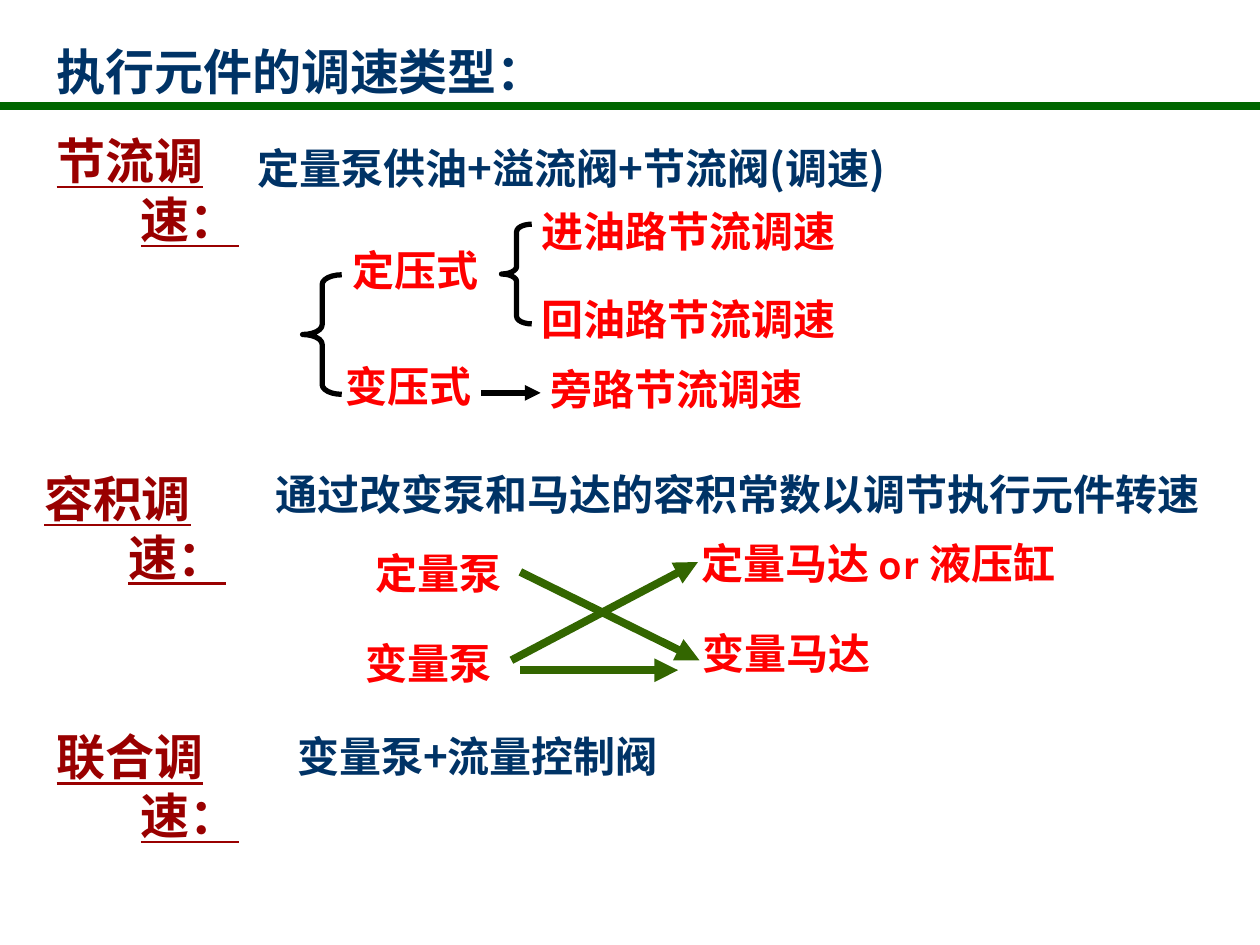
from lxml.etree import SubElement
from pptx import Presentation
from pptx.dml.color import RGBColor
from pptx.enum.shapes import MSO_CONNECTOR, MSO_SHAPE
from pptx.enum.text import MSO_AUTO_SIZE
from pptx.oxml.ns import qn
from pptx.util import Cm, Pt

NAVY = RGBColor(0x00, 0x33, 0x66)
MAROON = RGBColor(0x99, 0x00, 0x00)
RED = RGBColor(0xFF, 0x00, 0x00)
GREEN = RGBColor(0x00, 0x66, 0x00)
OLIVE = RGBColor(0x33, 0x66, 0x00)
BLACK = RGBColor(0x00, 0x00, 0x00)
CHINESE_FONT = "Noto Sans CJK SC"
LATIN_FONT = "Karla"


class SpeedControlSlide:
    """Draws the text, braces and lines of the speed control overview."""

    def __init__(self, page):
        self.page = page

    def text(self, words, left, top, width, height, color, size, font):
        box = self.page.shapes.add_textbox(Cm(left), Cm(top), Cm(width), Cm(height))
        para = box.text_frame.paragraphs[0]
        para.text = words
        para.font.name = font
        para.font.size = Pt(size)
        para.font.bold = True
        para.font.color.rgb = color
        defaults = para._p.pPr.find(qn("a:defRPr"))
        SubElement(defaults, qn("a:ea")).set("typeface", CHINESE_FONT)
        return box.text_frame

    def heading(self, words, left, top, width, color, font, underline=False):
        frame = self.text(words, left, top, width, 1.4, color, 28, font)
        frame.word_wrap = True
        para = frame.paragraphs[0]
        para.font.underline = underline
        para._p.pPr.set("marL", str(Cm(1.7)))
        para._p.pPr.set("indent", str(-Cm(1.7)))
        para._p.pPr.set("hangingPunct", "0")

    def phrase(self, words, left, top, width, color=RED, font=LATIN_FONT):
        frame = self.text(words, left, top, width, 1.27, color, 24, font)
        frame.word_wrap = False
        frame.auto_size = MSO_AUTO_SIZE.SHAPE_TO_FIT_TEXT

    def line(self, start, end, color, weight, arrow=True):
        points = [Cm(value) for value in (*start, *end)]
        line = self.page.shapes.add_connector(MSO_CONNECTOR.STRAIGHT, *points)
        line.line.color.rgb = color
        line.line.width = Pt(weight)
        if arrow:
            SubElement(line.line._get_or_add_ln(), qn("a:tailEnd")).set("type", "triangle")
        SubElement(line._element.spPr, qn("a:effectLst"))

    def brace(self, left, top, width, height):
        brace = self.page.shapes.add_shape(
            MSO_SHAPE.LEFT_BRACE, Cm(left), Cm(top), Cm(width), Cm(height))
        brace.shadow.inherit = False
        brace.fill.background()
        brace.line.color.rgb = BLACK
        brace.line.width = Pt(3)
        brace.adjustments[0] = 0.25


def main():
    deck = Presentation()
    deck.slide_width, deck.slide_height = Cm(25.4), Cm(19.05)
    slide = SpeedControlSlide(deck.slides.add_slide(deck.slide_layouts[6]))

    slide.heading("执行元件的调速类型：", 0.89, 0.71, 11.13, NAVY, CHINESE_FONT)
    for words, left, top in (
        ("节流调速：", 0.89, 2.51),
        ("容积调速：", 0.64, 9.32),
        ("联合调速：", 0.89, 14.53),
    ):
        slide.heading(words, left, top, 4.4, MAROON, LATIN_FONT, underline=True)

    for start, end in (
        ((10.49, 11.53), (14.1, 13.31)),
        ((10.49, 13.51), (13.67, 13.51)),
        ((10.31, 13.31), (14.07, 11.33)),
    ):
        slide.line(start, end, OLIVE, 4.5)
    slide.line((0, 2.13), (25.4, 2.13), GREEN, 4.5, arrow=False)
    slide.line((9.7, 7.92), (10.9, 7.92), BLACK, 3)
    slide.brace(6.1, 5.54, 0.79, 2.41)
    slide.brace(10.11, 4.52, 0.61, 2.01)

    for words, left, top, width in (
        ("定量泵供油+溢流阀+节流阀(调速)", 4.95, 2.74, 14.58),
        ("通过改变泵和马达的容积常数以调节执行元件转速", 5.31, 9.32, 19.13),
        ("变量泵+流量控制阀", 5.74, 14.6, 8.18),
    ):
        slide.phrase(words, left, top, width, NAVY, CHINESE_FONT)

    for words, left, top, width in (
        ("进油路节流调速", 10.67, 4.01, 6.43),
        ("回油路节流调速", 10.67, 5.79, 6.43),
        ("旁路节流调速", 10.85, 7.21, 5.59),
        ("定压式", 6.86, 4.8, 3.05),
        ("变压式", 6.71, 7.14, 3.05),
        ("定量泵", 7.32, 10.92, 3.05),
        ("变量泵", 7.11, 12.73, 3.05),
        ("定量马达 or 液压缸", 13.89, 10.72, 8.1),
        ("变量马达", 13.92, 12.52, 3.89),
    ):
        slide.phrase(words, left, top, width)

    deck.save("out.pptx")


if __name__ == "__main__":
    main()
